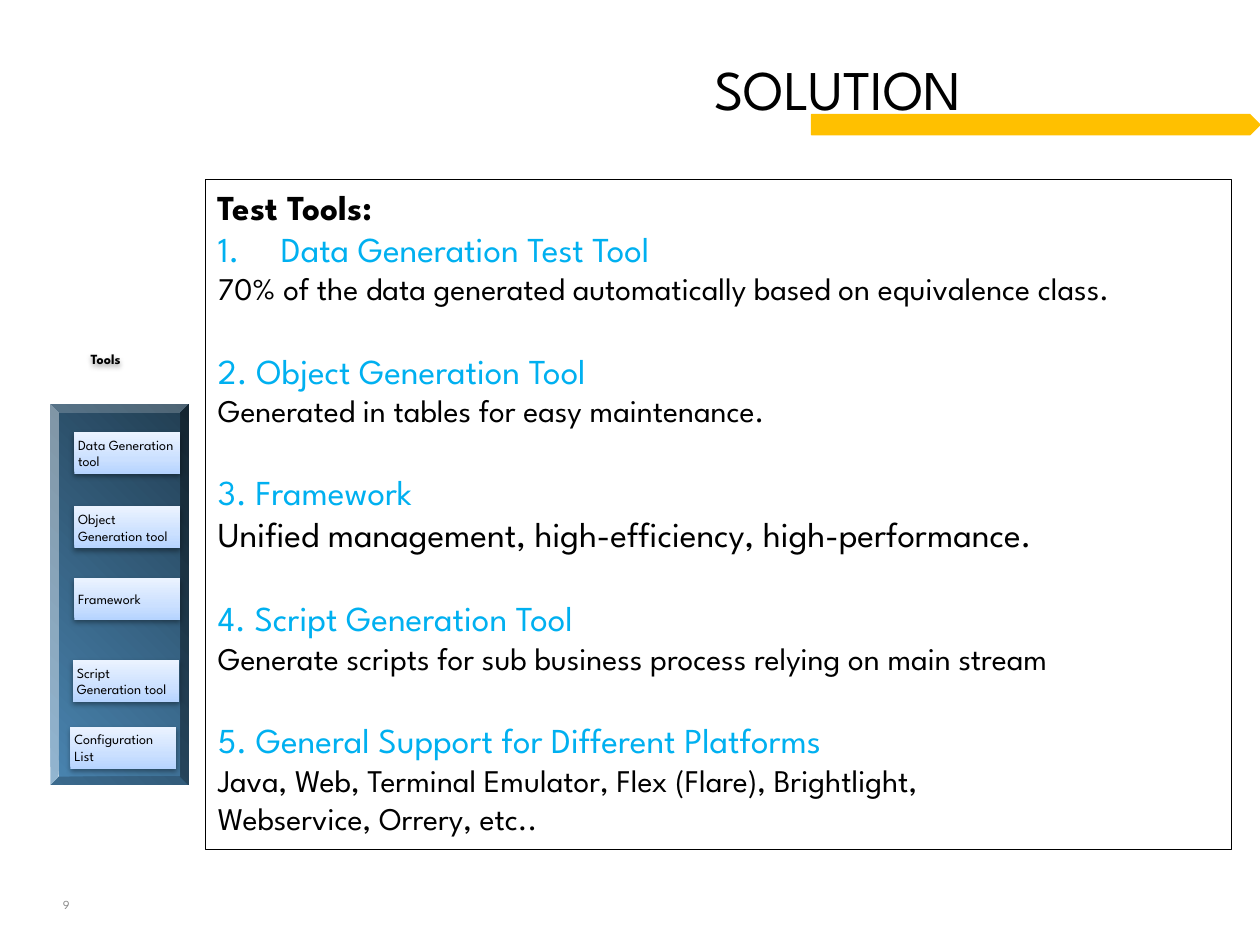
from lxml.etree import SubElement
from pptx import Presentation
from pptx.dml.color import RGBColor
from pptx.enum.shapes import MSO_SHAPE
from pptx.enum.text import MSO_ANCHOR, MSO_AUTO_SIZE, PP_ALIGN
from pptx.oxml import parse_xml
from pptx.oxml.ns import nsdecls, qn
from pptx.util import Inches, Pt

BLACK = RGBColor(0x00, 0x00, 0x00)
GREY = RGBColor(0x87, 0x87, 0x87)
CYAN = RGBColor(0x00, 0xB0, 0xF0)
AMBER = RGBColor(0xFF, 0xC0, 0x00)
PANEL_STOPS = [(0, RGBColor(0x4A, 0x85, 0xB1)), (100, RGBColor(0x22, 0x3E, 0x52))]
TILE_STOPS = [(0, RGBColor(0xB6, 0xD4, 0xFF)), (35, RGBColor(0xCB, 0xE0, 0xFF)),
              (100, RGBColor(0xEB, 0xF3, 0xFF))]

# Heading, its size-and-text detail lines
TOOLS = [
    ("Data Generation Test Tool", 18,
     ["70% of the data generated automatically based on equivalence class."]),
    ("2. Object Generation Tool", 18, ["Generated in tables for easy maintenance."]),
    ("3. Framework", 20, ["Unified management, high-efficiency, high-performance."]),
    ("4. Script Generation Tool", 18,
     ["Generate scripts for sub business process relying on main stream"]),
    ("5. General Support for Different Platforms", 18,
     ["Java, Web, Terminal Emulator, Flex (Flare), Brightlight,",
      "Webservice, Orrery, etc.."]),
]
# Label, left column, top row
TILES = [
    ("Data Generation tool", 5.9, 34.3),
    ("Object Generation tool", 5.9, 40.2),
    ("Framework", 5.9, 45.9),
    ("Script Generation tool", 5.8, 52.4),
    ("Configuration List", 5.6, 57.7),
]


def write(paragraph, text, size=8, color=BLACK, bold=False, font="League Spartan",
          align=PP_ALIGN.LEFT, before=0, line=None):
    paragraph.alignment = align
    paragraph.space_before = Pt(before)
    if line:
        paragraph.line_spacing = line
    run = paragraph.add_run()
    run.text = text
    run.font.name = font
    run.font.size = Pt(size)
    run.font.bold = bold
    run.font.color.rgb = color


def set_marker(paragraph, numbered):
    """Give the paragraph an automatic number with a hanging indent, or no bullet."""
    properties = paragraph._p.get_or_add_pPr()
    hang = Inches(0.5) if numbered else 0
    properties.set("marL", str(hang))
    properties.set("indent", str(-hang))
    if numbered:
        SubElement(properties, qn("a:buFont"), typeface="+mj-lt")
        SubElement(properties, qn("a:buAutoNum"), type="arabicPeriod")
    else:
        SubElement(properties, qn("a:buNone"))


def set_gradient(shape, stops, angle):
    """Fill with any number of stops; the angle runs clockwise."""
    marks = "".join(f'<a:gs pos="{share * 1000}"><a:srgbClr val="{color}"/></a:gs>'
                    for share, color in stops)
    gradient = parse_xml(f'<a:gradFill {nsdecls("a")}><a:gsLst>{marks}</a:gsLst>'
                         f'<a:lin ang="{angle * 60000}" scaled="0"/></a:gradFill>')
    shape._element.spPr.find(qn("a:prstGeom")).addnext(gradient)


def cast_shadow(shape):
    effects = shape._element.spPr.find(qn("a:effectLst"))
    shadow = SubElement(effects, qn("a:outerShdw"), blurRad=str(Pt(3.1)),
                        dist=str(Pt(1.6)), dir="5400000", rotWithShape="0")
    tint = SubElement(shadow, qn("a:srgbClr"), val=str(BLACK))
    SubElement(tint, qn("a:alpha"), val="38000")


class ToolSlide:
    """One slide on a grid of 100 columns and 75 rows."""

    def __init__(self, deck):
        self.column = deck.slide_width / 100
        self.row = deck.slide_height / 75
        self.slide = deck.slides.add_slide(deck.slide_layouts[1])

    def area(self, left, top, width, height):
        return (round(left * self.column), round(top * self.row),
                round(width * self.column), round(height * self.row))

    def placeholder(self, index, *cells):
        holder = self.slide.placeholders[index]
        holder.left, holder.top, holder.width, holder.height = self.area(*cells)
        frame = holder.text_frame
        frame.auto_size = MSO_AUTO_SIZE.NONE
        frame.vertical_anchor = MSO_ANCHOR.TOP
        return holder

    def title(self, text, *cells, indent):
        frame = self.placeholder(0, *cells).text_frame
        frame.margin_left = round(indent * self.column)
        write(frame.paragraphs[0], text, size=32, line=Pt(33))

    def tool_list(self, heading, tools, *cells):
        body = self.placeholder(1, *cells)
        body.line.color.rgb = BLACK
        body.line.width = Pt(0.25)
        frame = body.text_frame
        intro = frame.paragraphs[0]
        set_marker(intro, False)
        write(intro, heading, size=20, bold=True)
        for position, (name, detail_size, details) in enumerate(tools):
            first = position == 0
            entry = frame.add_paragraph()
            set_marker(entry, first)
            write(entry, name, size=20, color=CYAN, before=0 if first else 24)
            for detail in details:
                paragraph = frame.add_paragraph()
                set_marker(paragraph, False)
                write(paragraph, detail, size=detail_size)

    def shape(self, kind, *cells, adjust=None):
        shape = self.slide.shapes.add_shape(kind, *self.area(*cells))
        shape.shadow.inherit = False
        shape.line.fill.background()
        if adjust is not None:
            shape.adjustments[0] = adjust
        return shape

    def bar(self, *cells):
        bar = self.shape(MSO_SHAPE.PENTAGON, *cells, adjust=0.5)
        bar.fill.solid()
        bar.fill.fore_color.rgb = AMBER
        bar.line.color.rgb = AMBER
        bar.line.width = Pt(0.75)

    def panel(self, *cells):
        panel = self.shape(MSO_SHAPE.BEVEL, *cells, adjust=0.06)
        set_gradient(panel, PANEL_STOPS, 315)

    def tile(self, label, left, top, filled=True, indent=0.3, **style):
        tile = self.shape(MSO_SHAPE.RECTANGLE, left, top, 8.4, 3.3)
        if filled:
            set_gradient(tile, TILE_STOPS, 270)
        else:
            tile.fill.background()
        cast_shadow(tile)
        frame = tile.text_frame
        frame.word_wrap = True
        frame.vertical_anchor = MSO_ANCHOR.MIDDLE
        frame.margin_left = round(indent * self.column)
        frame.margin_top = frame.margin_right = frame.margin_bottom = Inches(0.03)
        write(frame.paragraphs[0], label, **style)

    def page_number(self, number, *cells):
        frame = self.slide.shapes.add_textbox(*self.area(*cells)).text_frame
        frame.word_wrap = True
        write(frame.paragraphs[0], number, size=7, color=GREY)


def main():
    deck = Presentation()
    deck.slide_width, deck.slide_height = Inches(10), Inches(7.5)
    page = ToolSlide(deck)
    page.page_number("9", 4, 70.7, 4.2, 2.2)
    page.bar(64.4, 9.1, 35.6, 1.6)
    page.title("SOLUTION", 3.7, 4.6, 91.6, 9.6, indent=53)
    page.tool_list("Test Tools:", TOOLS, 16.3, 14.2, 81.4, 53.2)
    page.panel(4, 32.1, 11, 30.2)
    for label, left, top in TILES:
        page.tile(label, left, top)
    page.tile("Tools", 5.1, 26.9, filled=False, indent=2.1, bold=True, line=0.9)
    deck.save("out.pptx")


if __name__ == "__main__":
    main()
